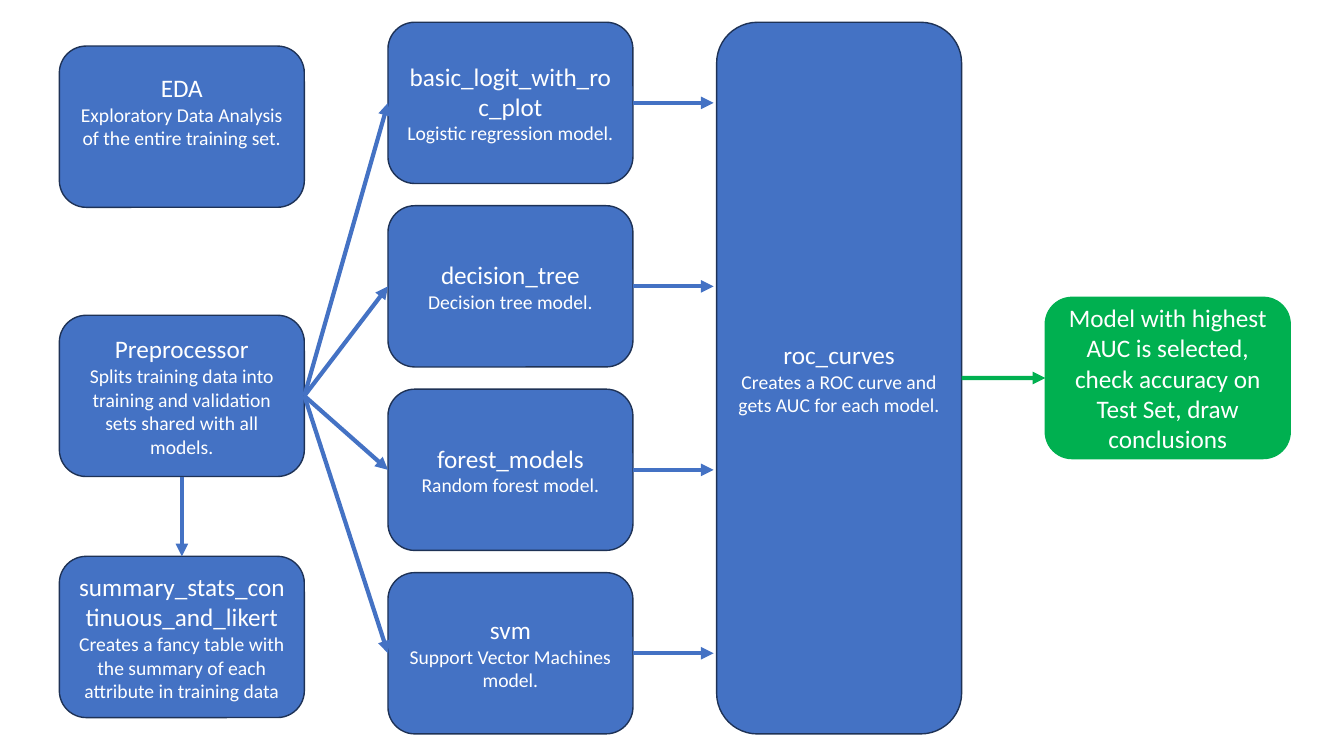
import pptx
import pptx.dml.color
import pptx.enum.shapes
import pptx.enum.text
import pptx.oxml.ns
import pptx.util
import lxml.etree

Pt = pptx.util.Pt
RGBColor = pptx.dml.color.RGBColor
BLUE = RGBColor(0x44, 0x72, 0xC4)
NAVY = RGBColor(0x1E, 0x32, 0x56)
GREEN = RGBColor(0x00, 0xB0, 0x50)
WHITE = RGBColor(0xFF, 0xFF, 0xFF)
TOP, LEFT, BOTTOM, RIGHT = range(4)
BOX_WIDTH, BOX_HEIGHT = 175, 115.2
COLUMNS = [42.4 + 234.75 * index for index in range(4)]
MODEL_TOP, MODEL_STEP = 15.9, 131.05
MODELS = [
    ("basic_logit_with_roc_plot", "Logistic regression model."),
    ("decision_tree", "Decision tree model."),
    ("forest_models", "Random forest model."),
    ("svm", "Support Vector Machines model."),
]


def write(para, text, size=18, color=WHITE, font="Calibri"):
    para.alignment = pptx.enum.text.PP_ALIGN.CENTER
    span = para.add_run()
    span.text = text
    span.font.size = Pt(size)
    span.font.name = font
    span.font.color.rgb = color


class Flowchart:
    """Draws the boxes and arrows of the modelling workflow on one page."""

    def __init__(self, page):
        self.page = page

    def box(self, left, top, title, detail=None, height=BOX_HEIGHT,
            fill=BLUE, outline=NAVY, bottom_margin=3.6):
        box = self.page.shapes.add_shape(
            pptx.enum.shapes.MSO_SHAPE.ROUNDED_RECTANGLE,
            Pt(left), Pt(top), Pt(BOX_WIDTH), Pt(height))
        box.shadow.inherit = False
        box.fill.solid()
        box.fill.fore_color.rgb = fill
        box.line.color.rgb = outline
        box.line.width = Pt(1)
        frame = box.text_frame
        frame.word_wrap = True
        frame.vertical_anchor = pptx.enum.text.MSO_ANCHOR.MIDDLE
        frame.margin_bottom = Pt(bottom_margin)
        write(frame.paragraphs[0], title)
        if detail:
            write(frame.add_paragraph(), detail, size=14)
        return box

    def arrow(self, source, source_side, target=None, target_side=LEFT,
              length=57.6, color=BLUE):
        middle = source.top + source.height // 2
        edge = source.left + source.width
        arrow = self.page.shapes.add_connector(
            pptx.enum.shapes.MSO_CONNECTOR.STRAIGHT,
            edge, middle, edge + Pt(length), middle)
        arrow.begin_connect(source, source_side)
        if target is not None:
            arrow.end_connect(target, target_side)
        arrow.line.color.rgb = color
        arrow.line.width = Pt(3)
        qualified = pptx.oxml.ns.qn
        lxml.etree.SubElement(arrow.line._get_or_add_ln(),
                              qualified("a:tailEnd"), type="triangle")
        lxml.etree.SubElement(arrow._element.spPr, qualified("a:effectLst"))


def main():
    deck = pptx.Presentation()
    deck.slide_width, deck.slide_height = Pt(960), Pt(540)
    chart = Flowchart(deck.slides.add_slide(deck.slide_layouts[6]))
    data_left, model_left, curves_left, result_left = COLUMNS

    chart.box(data_left, 32.9, "EDA",
              "Exploratory Data Analysis of the entire training set.",
              bottom_margin=25.6)
    preprocessor = chart.box(
        data_left, 225.2, "Preprocessor",
        "Splits training data into training and validation sets "
        "shared with all models.")
    summary = chart.box(
        data_left, 397.4, "summary_stats_continuous_and_likert",
        "Creates a fancy table with the summary of each attribute "
        "in training data")
    chart.arrow(preprocessor, BOTTOM, summary, TOP)

    curves = chart.box(
        curves_left, MODEL_TOP, "roc_curves",
        "Creates a ROC curve and gets AUC for each model.",
        height=3 * MODEL_STEP + BOX_HEIGHT)
    for row, (name, detail) in enumerate(MODELS):
        model = chart.box(model_left, MODEL_TOP + row * MODEL_STEP, name, detail)
        chart.arrow(preprocessor, RIGHT, model)
        chart.arrow(model, RIGHT)

    result = chart.box(
        result_left, 212.4,
        "Model with highest AUC is selected, check accuracy on Test Set, "
        "draw conclusions", fill=GREEN, outline=GREEN)
    chart.arrow(curves, RIGHT, result, color=GREEN)
    deck.save("out.pptx")


if __name__ == "__main__":
    main()
